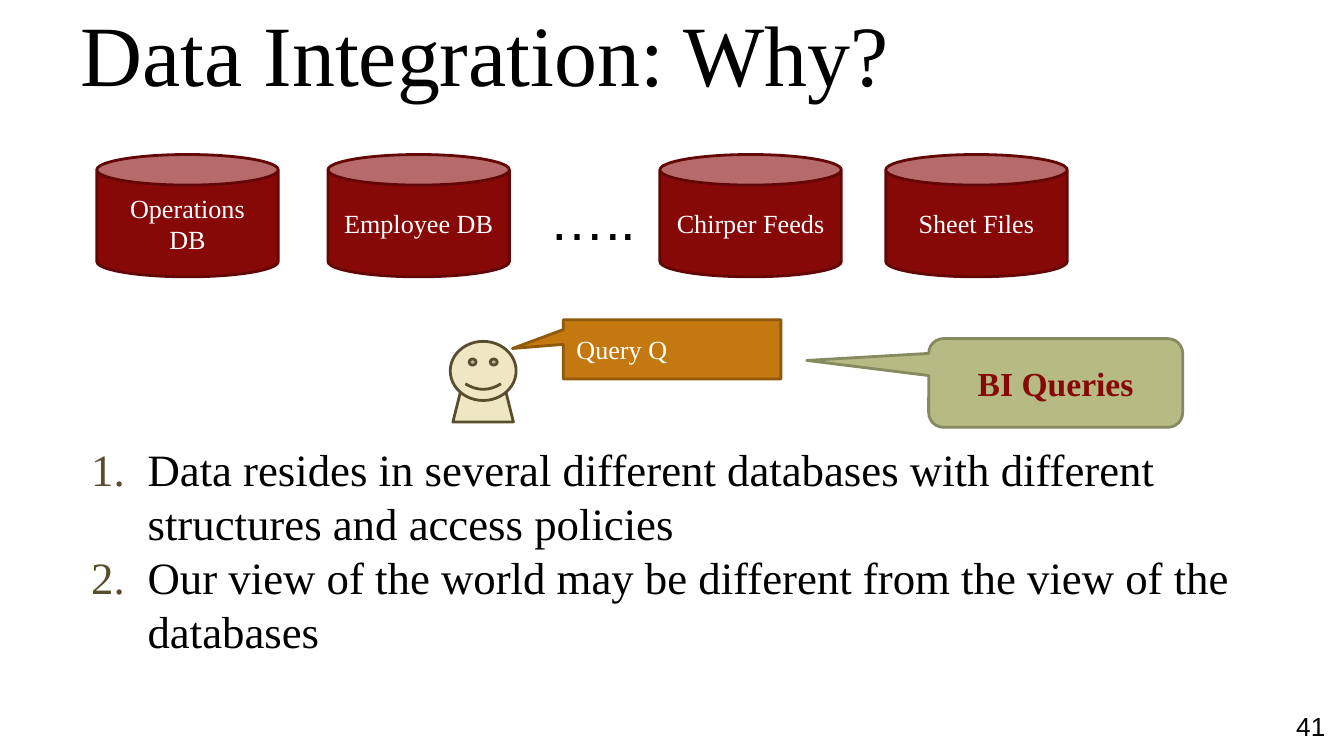
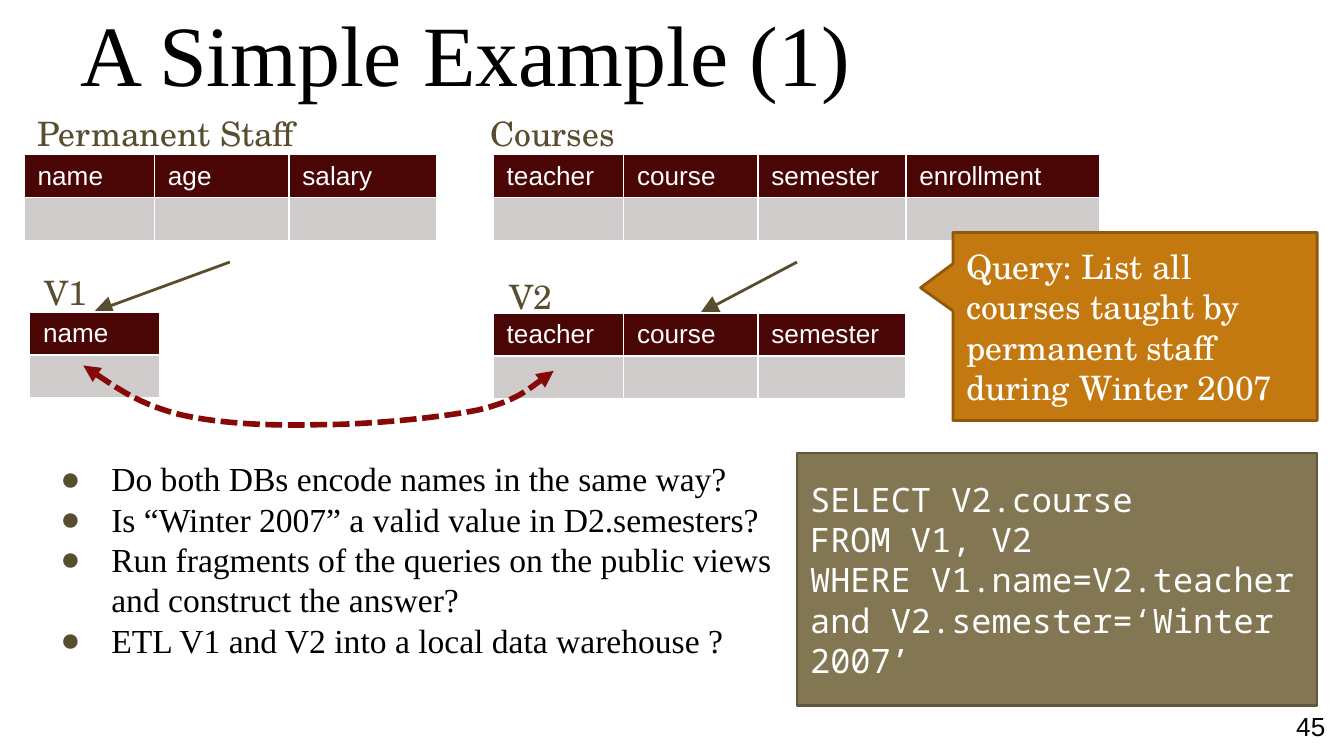
from collections import namedtuple
from itertools import product

from lxml.etree import SubElement
from pptx import Presentation
from pptx.dml.color import RGBColor
from pptx.enum.dml import MSO_LINE_DASH_STYLE as DASH
from pptx.enum.shapes import MSO_CONNECTOR as CONNECTOR, MSO_SHAPE as SHAPE
from pptx.enum.text import MSO_ANCHOR as ANCHOR, PP_ALIGN as ALIGN
from pptx.oxml.ns import qn
from pptx.util import Inches, Pt

Box = namedtuple("Box", "left top width height")

BLACK, WHITE = "000000", "FFFFFF"
BROWN, RED, CREAM = "584D2E", "860908", "EFE7C3"
ORANGE, ORANGE_EDGE = "C47810", "91590C"
HEADER, CELL = "4A0505", "D0CCCC"
SERIF, SANS, MONO, SCHOOL = "Times New Roman", "Arial", "Noto Sans Mono", "TeX Gyre Schola"

TITLE = {"name": SERIF, "size": 46, "color": BLACK}
NUMBER = {"name": SANS, "size": 14, "color": BLACK}
SMALL_WHITE = {"name": SERIF, "size": 14, "color": WHITE}
TABLE_LABEL = {"name": SCHOOL, "size": 18, "color": BROWN}
TABLE_HEAD = {"name": SANS, "size": 14, "color": WHITE, "bold": False}

LINE_FACTOR = 1.2
COLUMN_WIDTHS = (0.97, 1, 1.1, 1.44)
ROW_HEIGHT = 0.32


def rgb(color):
    return RGBColor.from_string(color)


def inches(values):
    return [Inches(value) for value in values]


def inside(box, left, top, width, height):
    """Box whose place is counted from the corner of another box."""
    return Box(box.left + left, box.top + top, width, height)


def format_font(font, style):
    values = dict(style)
    font.color.rgb = rgb(values.pop("color"))
    font.size = Pt(values.pop("size"))
    for attribute, value in values.items():
        setattr(font, attribute, value)


def write(shape, lines, style, anchor=ANCHOR.TOP, align=ALIGN.LEFT, spaced=False, bullet=None):
    """Fill a shape with paragraphs; bullet is (element, attribute, value, indent)."""
    frame = shape.text_frame
    settings = {"word_wrap": True, "vertical_anchor": anchor}
    settings.update({f"margin_{side}": Inches(0.1) for side in ("left", "top", "right", "bottom")})
    for attribute, value in settings.items():
        setattr(frame, attribute, value)
    for index, line in enumerate(lines):
        paragraph = frame.add_paragraph() if index else frame.paragraphs[0]
        paragraph.alignment = align
        if spaced:
            paragraph.line_spacing = Pt(style["size"] * LINE_FACTOR)
        if bullet:
            add_bullet(paragraph, *bullet)
        run = paragraph.add_run()
        run.text = line
        format_font(run.font, style)


def add_bullet(paragraph, element, attribute, value, indent):
    properties = paragraph._p.get_or_add_pPr()
    properties.set("marL", str(Inches(0.5)))
    properties.set("indent", str(-Inches(indent)))
    color = SubElement(properties, qn("a:buClr"))
    SubElement(color, qn("a:srgbClr"), val=BROWN)
    if element == "a:buChar":
        SubElement(properties, qn("a:buFont"), typeface=SANS)
    SubElement(properties, qn(element)).set(attribute, value)


def add_text(slide, box, lines, style, **layout):
    write(slide.shapes.add_textbox(*inches(box)), lines, style, **layout)


def add_block(slide, kind, box, fill, edge, adjustments=()):
    shape = slide.shapes.add_shape(kind, *inches(box))
    shape.shadow.inherit = False
    for index, value in enumerate(adjustments):
        shape.adjustments[index] = value
    shape.fill.solid()
    shape.fill.fore_color.rgb = rgb(fill)
    format_line(shape.line, edge, 1.5)
    return shape


def format_line(line, color, width):
    line.color.rgb = rgb(color)
    line.width = Pt(width)


def add_arrowheads(shape, ends, size="med"):
    line = shape.line._get_or_add_ln()
    for end in ends:
        SubElement(line, qn(f"a:{end}"), type="triangle", w=size, len=size)


def add_arrow(slide, start, end):
    connector = slide.shapes.add_connector(CONNECTOR.STRAIGHT, *inches(start + end))
    SubElement(connector._element.spPr, qn("a:effectLst"))
    format_line(connector.line, BROWN, 1.5)
    add_arrowheads(connector, ["tailEnd"], "lg")


def add_join_curve(slide, box):
    """Dashed double arrow running in three Bezier pieces."""
    points = [(0.21, 0.14), (0.41, 0.28), (0.7, 0.36),
              (0.99, 0.43), (1.37, 0.45), (1.75, 0.44),
              (2.12, 0.44), (2.64, 0.39), (2.94, 0.33),
              (3.23, 0.26), (3.5, 0.04), (3.5, 0.04)]
    points = [inches((box.left + x, box.top + y)) for x, y in points]
    builder = slide.shapes.build_freeform(*inches((box.left, box.top)))
    builder.add_line_segments(points, close=False)
    curve = builder.convert_to_shape()
    curve.shadow.inherit = False
    curve.fill.background()
    format_line(curve.line, RED, 3)
    curve.line.dash_style = DASH.SQUARE_DOT
    add_arrowheads(curve, ["headEnd", "tailEnd"])
    segments = list(curve._element.iter(qn("a:lnTo")))
    outline = segments[0].getparent()
    for first in range(0, len(segments), 3):
        bezier = SubElement(outline, qn("a:cubicBezTo"))
        for segment in segments[first:first + 3]:
            bezier.append(segment[0])
            outline.remove(segment)


def add_frame(presentation, title, number):
    """New slide with the shared title and page number."""
    slide = presentation.slides.add_slide(presentation.slide_layouts[6])
    add_text(slide, Box(0.5, 0.17, 9, 0.7), [title], TITLE, anchor=ANCHOR.BOTTOM)
    add_text(slide, Box(9.36, 5.19, 0.6, 0.43), [number], NUMBER,
             anchor=ANCHOR.MIDDLE, align=ALIGN.RIGHT)
    return slide


def add_callout(slide, box, text, style, pointer, fill=ORANGE, edge=ORANGE_EDGE,
                corner=0, align=ALIGN.LEFT):
    shape = add_block(slide, SHAPE.ROUNDED_RECTANGULAR_CALLOUT, box, fill, edge, (*pointer, corner))
    write(shape, [text], style, anchor=ANCHOR.MIDDLE, align=align)


def add_sources(slide, box):
    sources = {"Operations DB": 0, "Employee DB": 1.72, "Chirper Feeds": 4.19, "Sheet Files": 5.87}
    for name, left in sources.items():
        can = add_block(slide, SHAPE.CAN, inside(box, left, 0, 1.35, box.height), RED, "630706", [0.25])
        write(can, [name], SMALL_WHITE, anchor=ANCHOR.MIDDLE, align=ALIGN.CENTER)
    add_text(slide, inside(box, 3.27, 0.12, 0.97, 0.67), ["….."], {**NUMBER, "size": 30})


def add_user(slide, box):
    add_block(slide, SHAPE.TRAPEZOID, inside(box, 0.02, 0.36, 0.45, 0.24), CREAM, BROWN, [0.25])
    add_block(slide, SHAPE.SMILEY_FACE, inside(box, 0, 0, box.width, 0.44), CREAM, BROWN, [0.047])


def add_relation(slide, corner, label, label_offset, columns):
    """Table with one header row, one empty row and a name above it."""
    widths = COLUMN_WIDTHS[:len(columns)]
    box = Box(*corner, sum(widths), 2 * ROW_HEIGHT)
    add_text(slide, inside(box, *label_offset, 2.16, 0.4), [label], TABLE_LABEL)
    table = slide.shapes.add_table(2, len(columns), *inches(box)).table
    table.horz_banding = False
    for column, width in zip(table.columns, widths):
        column.width = Inches(width)
    for row, column in product(range(2), range(len(columns))):
        cell = table.cell(row, column)
        paragraph = cell.text_frame.paragraphs[0]
        if row == 0:
            run = paragraph.add_run()
            run.text = columns[column]
            format_font(run.font, TABLE_HEAD)
        else:
            SubElement(paragraph._p, qn("a:endParaRPr"), sz="1400")
        cell.margin_top = cell.margin_bottom = Inches(0.04)
        cell.vertical_anchor = ANCHOR.MIDDLE
        add_borders(cell)
        cell.fill.solid()
        cell.fill.fore_color.rgb = rgb(CELL if row else HEADER)


def add_borders(cell):
    properties = cell._tc.get_or_add_tcPr()
    for side in "LRTB":
        border = SubElement(properties, qn(f"a:ln{side}"), w=str(Pt(1)))
        SubElement(SubElement(border, qn("a:solidFill")), qn("a:srgbClr"), val=WHITE)


def add_code(slide, box):
    lines = ["SELECT V2.course", "FROM V1, V2", "WHERE V1.name=V2.teacher",
             "and V2.semester=‘Winter 2007’"]
    shape = add_block(slide, SHAPE.RECTANGLE, box, "827752", "60583D")
    write(shape, lines, {"name": MONO, "size": 18, "color": WHITE},
          anchor=ANCHOR.MIDDLE, spaced=True)


def build_why_slide(presentation):
    slide = add_frame(presentation, "Data Integration: Why?", "41")
    reasons = ["Data resides in several different databases with different structures and access policies",
               "Our view of the world may be different from the view of the databases"]
    add_text(slide, Box(0.5, 3.19, 9, 1.86), reasons, {"name": SERIF, "size": 24, "color": BLACK},
             spaced=True, bullet=("a:buAutoNum", "type", "arabicPeriod", 0.42))
    add_sources(slide, Box(0.72, 1.15, 7.22, 0.91))
    add_user(slide, Box(3.35, 2.54, 0.49, 0.6))
    add_callout(slide, Box(4.19, 2.38, 1.62, 0.44), "Query Q", SMALL_WHITE, (-0.733, -0.015))
    add_callout(slide, Box(6.91, 2.52, 1.89, 0.66), "BI Queries",
                {"name": SERIF, "size": 18, "color": RED, "bold": True}, (-0.98, -0.254),
                fill="B5BB83", edge="868A61", corner=0.167, align=ALIGN.CENTER)


def build_example_slide(presentation):
    slide = add_frame(presentation, "A Simple Example (1)", "45")
    questions = ["Do both DBs encode names in the same way?",
                 "Is “Winter 2007” a valid value in D2.semesters?",
                 "Run fragments of the queries on the public views and construct the answer?",
                 "ETL V1 and V2 into a local data warehouse ?"]
    add_text(slide, Box(0.23, 3.31, 5.89, 2.07), questions,
             {"name": SERIF, "size": 18, "color": BLACK},
             spaced=True, bullet=("a:buChar", "char", "●", 0.38))
    add_arrow(slide, (1.71, 1.95), (0.7, 2.32))
    add_arrow(slide, (5.93, 1.95), (5.21, 2.33))
    courses = ["teacher", "course", "semester", "enrollment"]
    add_relation(slide, (0.18, 1.15), "Permanent Staff", (0, -0.41), ["name", "age", "salary"])
    add_relation(slide, (3.67, 1.15), "Courses", (-0.12, -0.41), courses)
    add_relation(slide, (0.22, 2.32), "V1", (0.01, -0.4), ["name"])
    add_relation(slide, (3.67, 2.33), "V2", (0.02, -0.38), courses[:3])
    add_code(slide, Box(5.93, 3.37, 3.87, 1.88))
    add_callout(slide, Box(7.09, 1.73, 2.71, 1.4),
                "Query: List all courses taught by permanent staff during Winter 2007",
                {**TABLE_LABEL, "color": WHITE}, (-0.589, -0.206))
    add_join_curve(slide, Box(0.62, 2.72, 3.5, 0.44))


def main():
    presentation = Presentation()
    presentation.slide_width = Inches(10)
    presentation.slide_height = presentation.slide_width * 9 // 16
    build_why_slide(presentation)
    build_example_slide(presentation)
    presentation.save("out.pptx")


if __name__ == "__main__":
    main()
